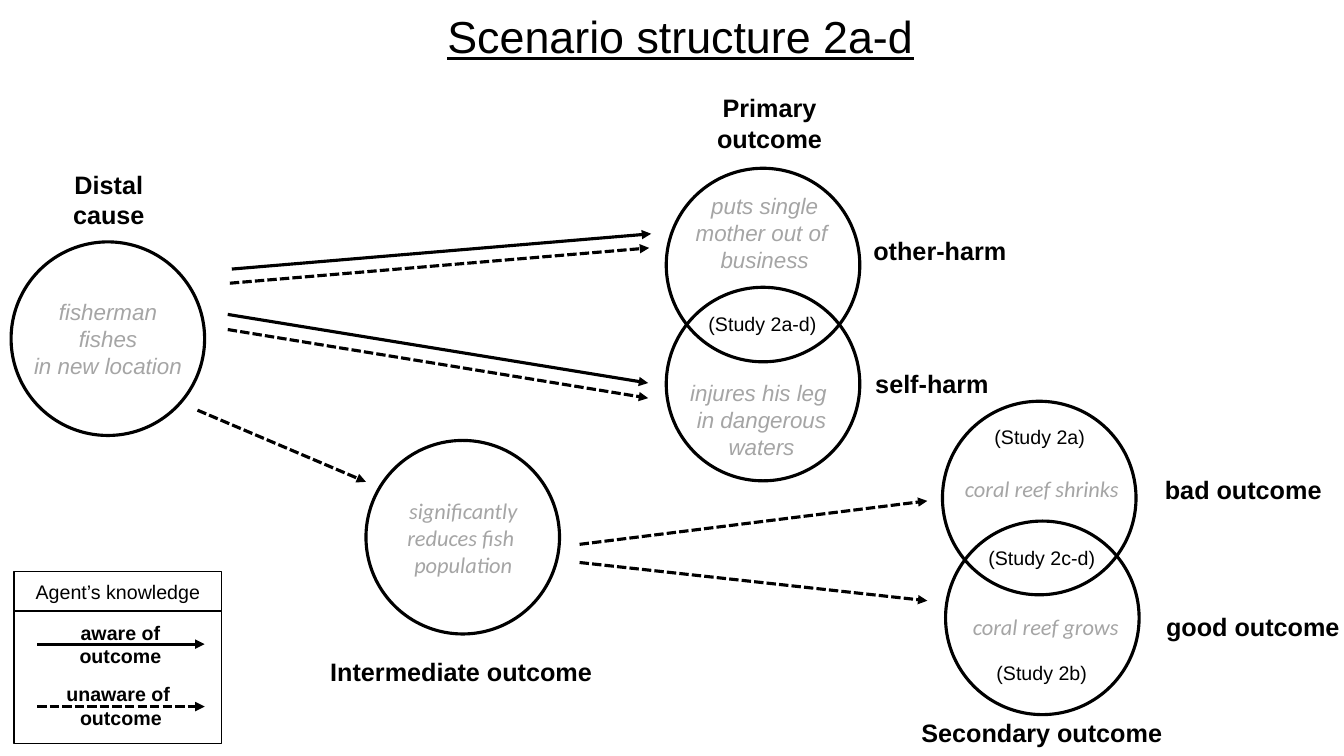
from dataclasses import dataclass

from lxml import etree
from pptx import Presentation
from pptx.dml.color import RGBColor
from pptx.enum.dml import MSO_LINE
from pptx.enum.shapes import MSO_CONNECTOR, MSO_SHAPE
from pptx.enum.text import MSO_ANCHOR, MSO_AUTO_SIZE, PP_ALIGN
from pptx.oxml.ns import qn
from pptx.shapes.autoshape import Shape
from pptx.slide import Slide
from pptx.text.text import TextFrame
from pptx.util import Pt

CENTER = PP_ALIGN.CENTER
LEFT = PP_ALIGN.LEFT
MIDDLE = MSO_ANCHOR.MIDDLE
GROW = MSO_AUTO_SIZE.SHAPE_TO_FIT_TEXT
STRAIGHT = MSO_CONNECTOR.STRAIGHT
OVAL = MSO_SHAPE.OVAL
RECTANGLE = MSO_SHAPE.RECTANGLE
DASHED = MSO_LINE.SQUARE_DOT

COLORS = {"ink": "000000", "example": "A5A5A5"}
DIAMETER = 138.24
STROKE = 2.25
LEGEND_LEFT = 10.1
LEGEND_WIDTH = 148.3


@dataclass(frozen=True)
class Style:
    size: float
    color: str = "ink"
    font: str = "Arial"
    bold: bool = False
    italic: bool = False
    underline: bool = False
    align: PP_ALIGN = CENTER


@dataclass(frozen=True)
class Label:
    lines: tuple[str, ...]
    left: float
    top: float
    width: float
    height: float
    style: Style
    wrap: bool = True


@dataclass(frozen=True)
class Circle:
    left: float
    top: float


@dataclass(frozen=True)
class Arrow:
    start: tuple[float, float]
    end: tuple[float, float]
    aware: bool = False


TITLE = Style(32, underline=True, align=LEFT)
HEADING = Style(18, bold=True)
EXAMPLE = Style(16, "example", italic=True)
EFFECT = Style(16, "example", "Calibri", italic=True)
STUDY = Style(14)
KEY = Style(14, bold=True)

CIRCLES = [
    Circle(7.9, 172.8),
    Circle(261.4, 314.6),
    Circle(475.9, 120.2),
    Circle(475.9, 205.2),
    Circle(673.2, 286.6),
    Circle(675.4, 372.2),
]

ARROWS = [
    Arrow((165.6, 192.2), (465.1, 167), aware=True),
    Arrow((164.2, 202.3), (463.7, 177.1)),
    Arrow((162.7, 224.6), (463, 273.6), aware=True),
    Arrow((162.7, 235.4), (463, 284.4)),
    Arrow((141.1, 293), (261.4, 344.2)),
    Arrow((414, 388.8), (662.4, 357.8)),
    Arrow((414, 401.8), (662.4, 429.1)),
    Arrow((26.6, 460.1), (146.2, 460.1), aware=True),
    Arrow((26.6, 504.7), (146.2, 504.7)),
]

LABELS = [
    Label(("Scenario structure 2a-d",), 312.5, 2.9, 349.9, 46.1, TITLE, False),
    Label(("Distal", "cause"), 44.6, 117.4, 66.2, 51.1, HEADING, False),
    Label(("Primary", "outcome"), 504.7, 62.6, 90, 51.1, HEADING),
    Label(("Intermediate outcome",), 195.1, 465.1, 268.6, 28.8, HEADING),
    Label(("Secondary outcome",), 636.5, 509, 215.3, 28.8, HEADING),
    Label(("other-harm",), 535.7, 164.9, 271.4, 28.8, HEADING),
    Label(("self-harm",), 524.2, 259.9, 283, 28.8, HEADING),
    Label(("bad outcome",), 824.4, 335.5, 127.4, 28.8, HEADING, False),
    Label(("good outcome",), 825.1, 433.4, 139.7, 28.8, HEADING, False),
    Label(("fisherman", "fishes", "in new location"), 16.6, 209.5, 121, 65.5, EXAMPLE, False),
    Label(("puts single", "mother out of ", "business"), 488.9, 133.9, 114.5, 65.5, EXAMPLE, False),
    Label(("injures his leg ", "in dangerous", "waters"), 485.3, 267.1, 117.4, 65.5, EXAMPLE, False),
    Label(("significantly", "reduces fish ", "population"), 283, 351.4, 95.8, 65.5, EFFECT, False),
    Label(("coral reef shrinks",), 681.1, 336.2, 126, 26.6, EFFECT, False),
    Label(("coral reef grows",), 686.9, 434.2, 120.2, 26.6, EFFECT, False),
    Label(("(Study 2a-d)",), 493.9, 219.6, 101.5, 24.5, STUDY),
    Label(("(Study 2a)",), 701.3, 300.2, 82.8, 24.5, STUDY),
    Label(("(Study 2c-d)",), 693.4, 386.6, 101.5, 24.5, STUDY),
    Label(("(Study 2b)",), 702.7, 468.7, 82.8, 24.5, STUDY),
    Label(("aware of outcome",), 28.8, 439.9, 114.5, 41, KEY),
    Label(("unaware of ", "outcome"), 31.7, 483.8, 109.4, 42.5, KEY),
]


def rgb(name: str) -> RGBColor:
    return RGBColor.from_string(COLORS[name])


def write_lines(frame: TextFrame, lines: tuple[str, ...], style: Style) -> None:
    for index, line in enumerate(lines):
        para = frame.add_paragraph() if index else frame.paragraphs[0]
        para.alignment = style.align
        span = para.add_run()
        span.text = line
        span.font.name = style.font
        span.font.size = Pt(style.size)
        span.font.bold = style.bold
        span.font.italic = style.italic
        span.font.underline = style.underline
        span.font.color.rgb = rgb(style.color)


def draw_label(page: Slide, label: Label) -> None:
    box = page.shapes.add_textbox(Pt(label.left), Pt(label.top), Pt(label.width), Pt(label.height))
    box.text_frame.word_wrap = label.wrap
    box.text_frame.auto_size = GROW
    write_lines(box.text_frame, label.lines, label.style)


def draw_outline(page: Slide, kind: MSO_SHAPE, left: float, top: float,
                 width: float, height: float, stroke: float) -> Shape:
    outline = page.shapes.add_shape(kind, Pt(left), Pt(top), Pt(width), Pt(height))
    outline.shadow.inherit = False
    outline.fill.background()
    outline.line.color.rgb = rgb("ink")
    outline.line.width = Pt(stroke)
    return outline


def draw_arrow(page: Slide, arrow: Arrow) -> None:
    points = [Pt(value) for value in (*arrow.start, *arrow.end)]
    connector = page.shapes.add_connector(STRAIGHT, *points)
    connector.line.color.rgb = rgb("ink")
    connector.line.width = Pt(STROKE)
    if not arrow.aware:
        connector.line.dash_style = DASHED
    properties = connector._element.spPr
    etree.SubElement(properties.find(qn("a:ln")), qn("a:tailEnd"), type="triangle")
    etree.SubElement(properties, qn("a:effectLst"))


def draw_legend_frame(page: Slide) -> None:
    draw_outline(page, RECTANGLE, LEGEND_LEFT, 436.3, LEGEND_WIDTH, 95, 1)
    header = draw_outline(page, RECTANGLE, LEGEND_LEFT, 408.2, LEGEND_WIDTH, 28.8, 1)
    header.text_frame.word_wrap = True
    header.text_frame.vertical_anchor = MIDDLE
    write_lines(header.text_frame, ("Agent’s knowledge",), STUDY)


def main() -> None:
    deck = Presentation()
    deck.slide_width, deck.slide_height = Pt(960), Pt(540)
    page = deck.slides.add_slide(deck.slide_layouts[6])
    for circle in CIRCLES:
        draw_outline(page, OVAL, circle.left, circle.top, DIAMETER, DIAMETER, STROKE)
    draw_legend_frame(page)
    for arrow in ARROWS:
        draw_arrow(page, arrow)
    for label in LABELS:
        draw_label(page, label)
    deck.save("out.pptx")


if __name__ == "__main__":
    main()
